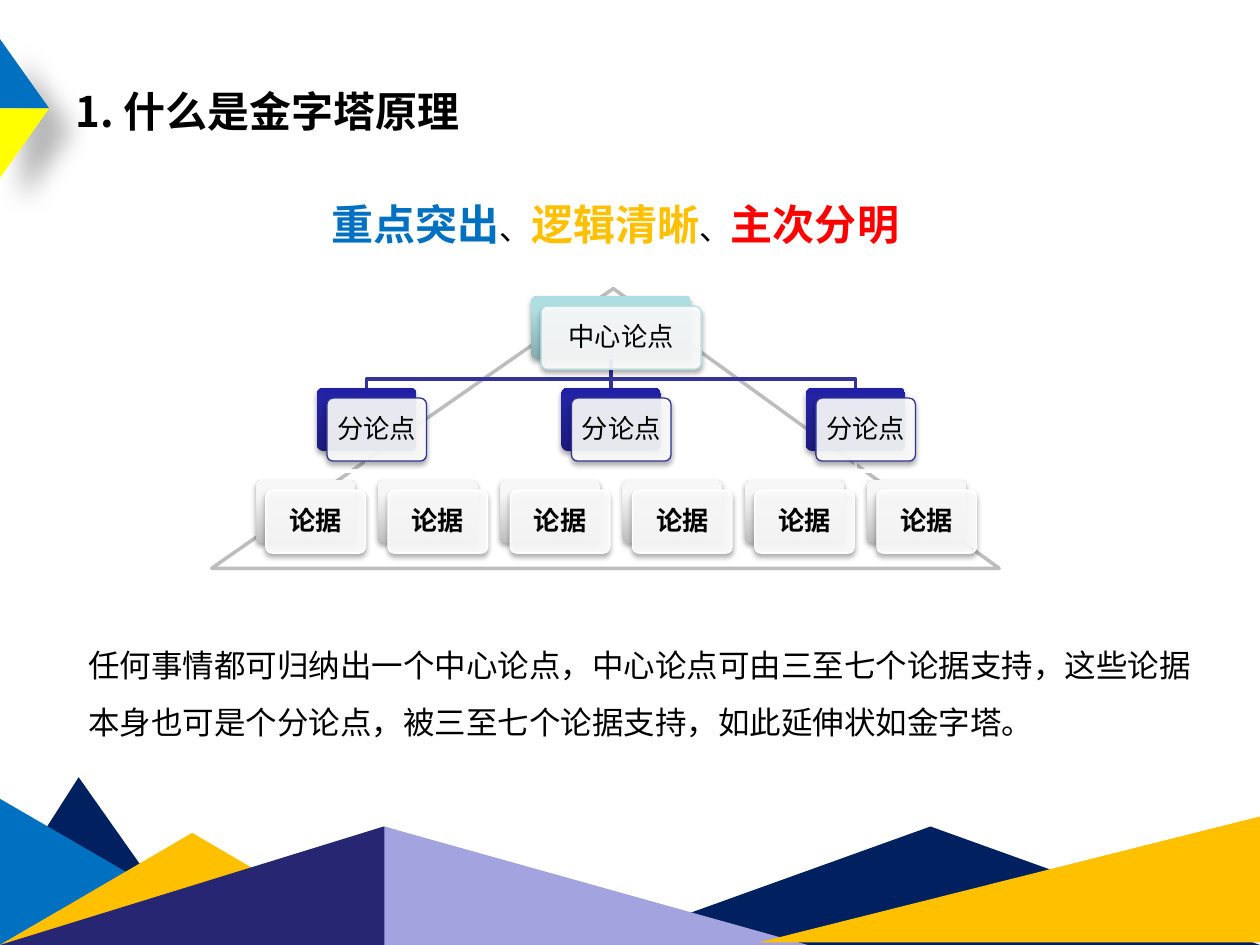
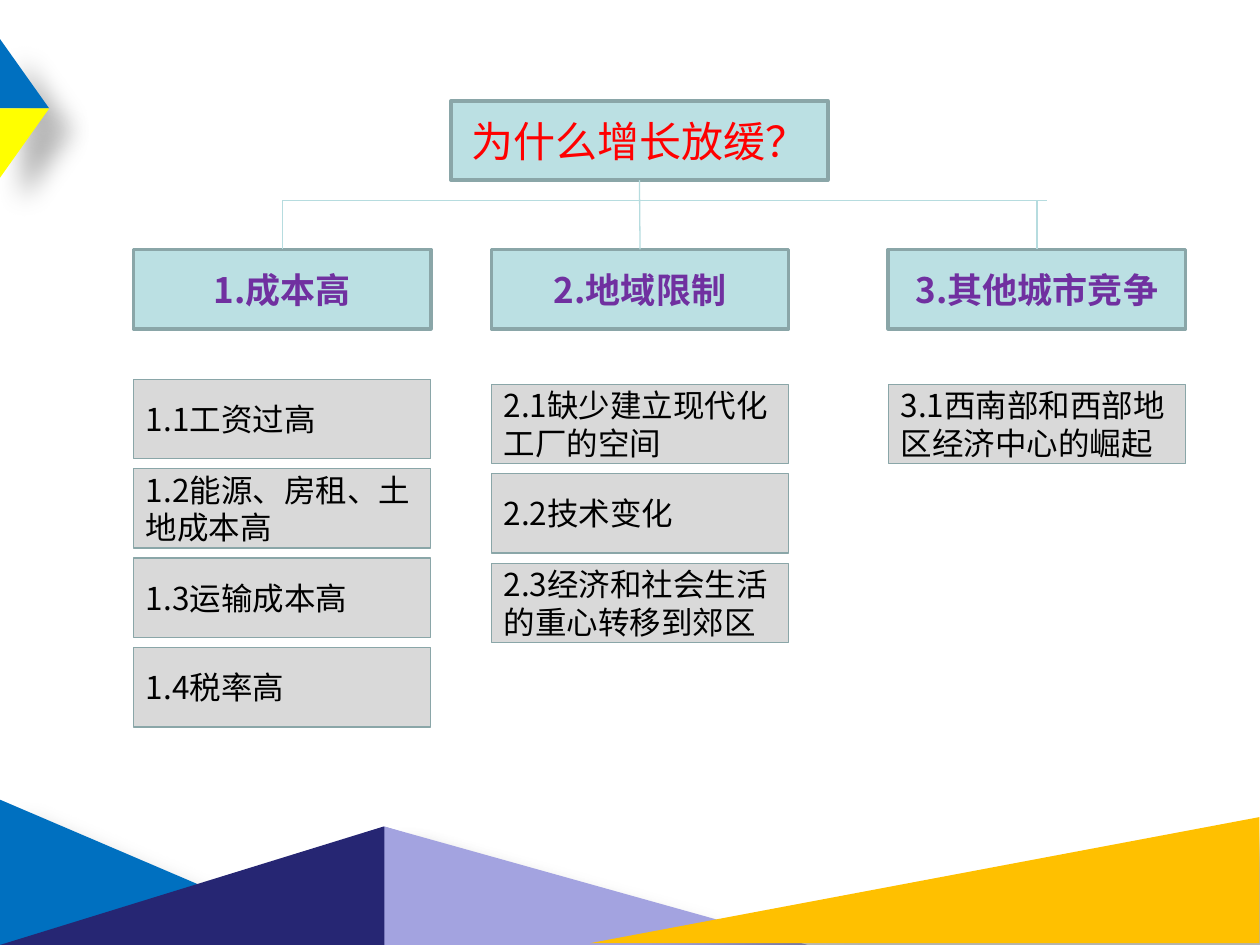
import pptx
import pptx.util
from lxml import etree
from pptx.dml.color import RGBColor
from pptx.enum.shapes import MSO_CONNECTOR, MSO_SHAPE
from pptx.enum.text import MSO_ANCHOR, MSO_AUTO_SIZE, PP_ALIGN
from pptx.oxml import parse_xml
from pptx.oxml.ns import nsdecls, qn
from pptx.util import Inches, Pt

FONT = "Noto Sans CJK SC"
BLACK = RGBColor(0x00, 0x00, 0x00)
WHITE = RGBColor(0xFF, 0xFF, 0xFF)
RED = RGBColor(0xFF, 0x00, 0x00)
YELLOW = RGBColor(0xFF, 0xFF, 0x00)
BLUE = RGBColor(0x00, 0x70, 0xC0)
GOLD = RGBColor(0xFF, 0xC0, 0x00)
NAVY = RGBColor(0x00, 0x20, 0x60)
INDIGO = RGBColor(0x26, 0x26, 0x73)
LAVENDER = RGBColor(0xA3, 0xA3, 0xE0)
PURPLE = RGBColor(0x70, 0x30, 0xA0)
LINK = RGBColor(0x33, 0x33, 0x99)
TEAL = RGBColor(0xBB, 0xE0, 0xE3)
TEAL_EDGE = RGBColor(0x8A, 0xA6, 0xA8)
TEAL_LINK = RGBColor(0xB6, 0xDC, 0xDF)
GREY = RGBColor(0xD9, 0xD9, 0xD9)
PYRAMID_EDGE = RGBColor(0xBD, 0xBD, 0xBD)

# Shadows: alpha %, blur pt, distance pt, direction in degrees
FLAG_SHADOW = (30, 15, 18, 45)
CARD_SHADOW = (35, 3.1, 1.8, 90)

# Gradients, bottom to top
TEAL_FADE = ("87ABAE", "AFDEE2", "AFE0E4")
INDIGO_FADE = ("1B1B7E", "2323A3", "2020A6")
GREY_FADE = ("BEBEBE", "F7F7F7", "F8F8F8")

TRIANGLE, RIGHT_TRIANGLE = MSO_SHAPE.ISOSCELES_TRIANGLE, MSO_SHAPE.RIGHT_TRIANGLE
# Hills: preset, box, rotation, colour
FRONT_HILLS = [
    (TRIANGLE, (0, 6.56, 6.09, 0.94), 0, INDIGO),
    (RIGHT_TRIANGLE, (3.05, 6.56, 3.36, 0.94), 0, LAVENDER),
]
PRINCIPLE_HILLS = [
    (TRIANGLE, (0.33, 6.33, 1.16, 1.42), 122.6, NAVY),
    (TRIANGLE, (4.77, 6.56, 5.23, 0.94), 0, NAVY),
    (TRIANGLE, (-0.08, 6.42, 1.16, 1), 90, BLUE),
    (TRIANGLE, (0, 6.61, 3.05, 0.89), 0, GOLD),
    *FRONT_HILLS,
    (RIGHT_TRIANGLE, (7.51, 4.99, 1, 3.98), 270, GOLD),
]
GROWTH_HILLS = [
    (TRIANGLE, (0.12, 6.22, 1.47, 1.72), 90, BLUE),
    *FRONT_HILLS,
    (RIGHT_TRIANGLE, (6.84, 4.33, 1, 5.31), 270, GOLD),
]

# Columns: left, top of first reason (both from the tree's corner), head, reasons
GROWTH_COLUMNS = [
    (0, 2.21, "1.成本高",
     ["1.1工资过高", "1.2能源、房租、土地成本高", "1.3运输成本高", "1.4税率高"]),
    (2.84, 2.25, "2.地域限制",
     ["2.1缺少建立现代化工厂的空间", "2.2技术变化", "2.3经济和社会生活的重心转移到郊区"]),
    (5.99, 2.25, "3.其他城市竞争", ["3.1西南部和西部地区经济中心的崛起"]),
]


def format_run(r, size, color, bold=False):
    r.font.size, r.font.bold, r.font.name = Pt(size), bold, FONT
    r.font.color.rgb = color
    ea = etree.Element(qn("a:ea"), typeface=FONT)
    r.font._element.find(qn("a:latin")).addnext(ea)


def write(tf, text, size, color, bold=False, align=PP_ALIGN.LEFT, anchor=MSO_ANCHOR.TOP):
    tf.word_wrap, tf.vertical_anchor = True, anchor
    tf.text = text
    p = tf.paragraphs[0]
    p.alignment = align
    format_run(p.runs[0], size, color, bold)
    return p


def add_shadow(sp, shadow):
    alpha, blur, dist, angle = shadow
    sp.shadow._element.find(qn("a:effectLst")).append(parse_xml(
        f'<a:outerShdw {nsdecls("a")} blurRad="{Pt(blur)}" dist="{Pt(dist)}" '
        f'dir="{angle * 60000}" algn="t" rotWithShape="0"><a:srgbClr val="000000">'
        f'<a:alpha val="{alpha * 1000}"/></a:srgbClr></a:outerShdw>'))


def add_shape(s, preset, box, fill=None, line=None, width=0, shadow=None):
    sp = s.shapes.add_shape(preset, *map(Inches, box))
    sp.shadow.inherit = False
    if fill is not None:
        sp.fill.solid()
        sp.fill.fore_color.rgb = fill
    if line is None:
        sp.line.fill.background()
    else:
        sp.line.color.rgb = line
        sp.line.width = Pt(width)
    if shadow:
        add_shadow(sp, shadow)
    return sp


def add_flag(s, box):
    """Two-coloured pointer at the left edge."""
    x, y, w, h = box
    add_shape(s, RIGHT_TRIANGLE, (x, y, w, h / 2), BLUE, shadow=FLAG_SHADOW)
    lower = add_shape(s, RIGHT_TRIANGLE, (x, y + h / 2, w, h / 2), YELLOW, shadow=FLAG_SHADOW)
    lower.rotation = 180
    lower._element.spPr.xfrm.set("flipH", "1")


def add_scenery(s, hills, shadow=None):
    add_flag(s, (0, 0.31, 0.39, 1.1))
    for preset, box, rotation, color in hills:
        add_shape(s, preset, box, color, shadow=shadow).rotation = rotation


def add_elbow(s, x1, x2, y, color):
    """Link running down from (x1, y), across to x2 and down again."""
    points = [(x1, y), (x1, y + 0.16), (x2, y + 0.16), (x2, y + 0.23)]
    emu = [(Inches(px), Inches(py)) for px, py in points]
    builder = s.shapes.build_freeform(*emu[0])
    builder.add_line_segments(emu[1:], close=False)
    sp = builder.convert_to_shape()
    sp.shadow.inherit = False
    sp.fill.background()
    sp.line.color.rgb = color
    sp.line.width = Pt(2)


def add_card(s, box, text, fade, edge, bold=False):
    """Shaded back plate with a nearly opaque white card in front."""
    x, y, w, h = box
    back = add_shape(s, MSO_SHAPE.ROUNDED_RECTANGLE, box, shadow=CARD_SHADOW)
    stops = "".join(f'<a:gs pos="{pos}"><a:srgbClr val="{color}"/></a:gs>'
                    for pos, color in zip((0, 80000, 100000), fade))
    back._element.spPr.find(qn("a:prstGeom")).addnext(parse_xml(
        f'<a:gradFill {nsdecls("a")} rotWithShape="1"><a:gsLst>{stops}</a:gsLst>'
        '<a:lin ang="16200000" scaled="0"/></a:gradFill>'))
    front = add_shape(s, MSO_SHAPE.ROUNDED_RECTANGLE, (x + 0.08, y + 0.08, w, h),
                      WHITE, edge, 0.75, CARD_SHADOW)
    color = front._element.spPr.find(qn("a:solidFill"))[0]
    etree.SubElement(color, qn("a:alpha"), val="90000")
    for sp in (back, front):
        sp.adjustments[0] = 0.1
    tf = front.text_frame
    tf.margin_left = tf.margin_right = tf.margin_top = tf.margin_bottom = Inches(0.06)
    p = write(tf, text, 15, BLACK, bold, PP_ALIGN.CENTER, MSO_ANCHOR.MIDDLE)
    p.line_spacing = 0.9


def add_pyramid(s, box):
    x, y, w, h = box
    outline = add_shape(s, TRIANGLE, box, WHITE, PYRAMID_EDGE, 2)
    outline.adjustments[0] = 0.51

    card_w, card_h, root_w, pitch, level = 0.79, 0.5, 1.27, 0.97, 0.73
    left, top = x + 0.35, y + 0.06
    leaves = [left + i * pitch for i in range(6)]
    branches = [left + (2 * i + 0.5) * pitch for i in range(3)]
    root_mid = branches[1] + card_w / 2

    for i, branch in enumerate(branches):
        mid = branch + card_w / 2
        for leaf in leaves[2 * i:2 * i + 2]:
            add_elbow(s, mid, leaf + card_w / 2, top + level + card_h, WHITE)
        add_elbow(s, root_mid, mid, top + card_h, LINK)

    add_card(s, (root_mid - root_w / 2, top, root_w, card_h), "中心论点", TEAL_FADE, TEAL)
    for branch in branches:
        add_card(s, (branch, top + level, card_w, card_h), "分论点", INDIGO_FADE, LINK)
    for leaf in leaves:
        add_card(s, (leaf, top + 2 * level, card_w, card_h), "论据", GREY_FADE, WHITE, True)


def add_text(s, box, text, size, align=PP_ALIGN.LEFT):
    tf = s.shapes.add_textbox(*map(Inches, box)).text_frame
    return write(tf, text, size, BLACK, align=align)


def add_title(s, box, text):
    title = s.shapes.title
    title.left, title.top, title.width, title.height = map(Inches, box)
    title.text_frame.auto_size = MSO_AUTO_SIZE.NONE
    write(title.text_frame, text, 24, BLACK, True)


def add_motto(s, box):
    p = add_text(s, box, "重点突出", 24, PP_ALIGN.CENTER)
    format_first = p.runs[0].font
    format_first.bold, format_first.color.rgb = True, BLUE
    for text, color in (("逻辑清晰", GOLD), ("主次分明", RED)):
        for part, size, tint, bold in (("、", 18, BLACK, False), (text, 24, color, True)):
            r = p.add_run()
            r.text = part
            format_run(r, size, tint, bold)


def add_tree_box(s, box, text, size, color, bold=False):
    sp = add_shape(s, MSO_SHAPE.RECTANGLE, box, TEAL, TEAL_EDGE, 2)
    write(sp.text_frame, text, size, color, bold, PP_ALIGN.CENTER, MSO_ANCHOR.MIDDLE)
    return sp


def add_link(s, x1, y1, x2, y2):
    link = s.shapes.add_connector(MSO_CONNECTOR.STRAIGHT, *map(Inches, (x1, y1, x2, y2)))
    link.line.color.rgb = TEAL_LINK
    link.line.width = Pt(0.75)
    etree.SubElement(link._element.spPr, qn("a:effectLst"))
    return link


def add_issue_tree(s, x, y):
    w, h, bar, head_top, pitch = 2.36, 0.63, y + 0.79, y + 1.18, 0.71
    root = add_tree_box(s, (x + 2.52, y, 2.99, h), "为什么增长放缓？", 24, RED)
    for i, (dx, first, head_text, reasons) in enumerate(GROWTH_COLUMNS):
        left = x + dx
        mid = left + w / 2
        head = add_tree_box(s, (left, head_top, w, h), head_text, 20, PURPLE, True)
        link = add_link(s, mid, y + h if i == 1 else bar, mid, head_top)
        if i == 1:
            link.begin_connect(root, 2)
        link.end_connect(head, 0)
        for row, reason in enumerate(reasons):
            sp = add_shape(s, MSO_SHAPE.RECTANGLE, (left, y + first + row * pitch, w, h),
                           GREY, TEAL_EDGE)
            write(sp.text_frame, reason, 18, BLACK, anchor=MSO_ANCHOR.MIDDLE)
    add_link(s, x + w / 2, bar, x + 7.25, bar)


def build_principle_slide(prs):
    s = prs.slides.add_slide(prs.slide_layouts[5])
    add_title(s, (0.5, 0.63, 3.3, 0.9), "1. 什么是金字塔原理")
    add_scenery(s, PRINCIPLE_HILLS)
    add_pyramid(s, (1.68, 2.29, 6.25, 2.22))
    p = add_text(s, (0.6, 4.93, 9.08, 0.96),
                 "任何事情都可归纳出一个中心论点，中心论点可由三至七个论据支持，"
                 "这些论据本身也可是个分论点，被三至七个论据支持，如此延伸状如金字塔。", 18)
    p.line_spacing = 1.5
    add_motto(s, (0.35, 1.53, 9.07, 0.51))


def build_growth_slide(prs):
    s = prs.slides.add_slide(prs.slide_layouts[6])
    add_issue_tree(s, 1.06, 0.8)
    add_scenery(s, GROWTH_HILLS, FLAG_SHADOW)


def main():
    prs = pptx.Presentation()
    prs.slide_width, prs.slide_height = Inches(10), Inches(7.5)
    build_principle_slide(prs)
    build_growth_slide(prs)
    prs.save("out.pptx")


if __name__ == "__main__":
    main()
